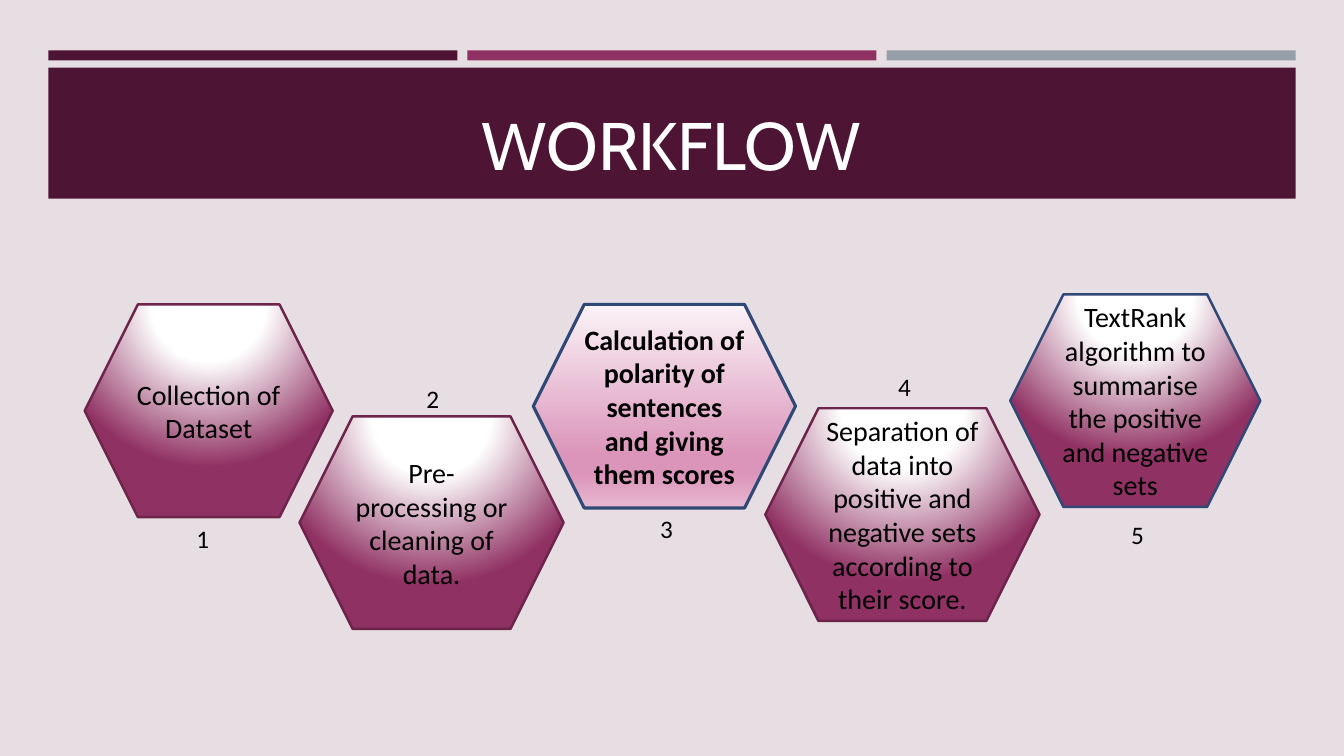
from lxml.etree import SubElement
from pptx import Presentation
from pptx.dml.color import RGBColor
from pptx.enum.shapes import MSO_SHAPE
from pptx.enum.text import MSO_ANCHOR, MSO_AUTO_SIZE, PP_ALIGN
from pptx.oxml.ns import qn
from pptx.util import Inches, Pt

PLUM, MAGENTA, GREY = "4D1434", "903163", "969FA7"
BACKGROUND, WHITE, BLACK = "E6DEE3", "FFFFFF", "000000"
DARK_MAGENTA, NAVY = "6C244A", "2F4875"
SPOTLIGHT = [(0, WHITE), (35, WHITE), (100, MAGENTA)]
PINK_FADE = [(0, "FBF3F7"), (74, "DB95BA"), (83, "DB95BA"), (100, "E7B8D1")]

STEPS = [
    ("Collection of Dataset", (0.84, 3.02, 2.46, 2.11), (1.85, 5.14), DARK_MAGENTA, False),
    ("Pre-processing or cleaning of data.", (2.97, 4.13, 2.62, 2.11), (4.13, 3.75), DARK_MAGENTA, False),
    ("Calculation of polarity of sentences and giving them scores",
     (5.29, 3.02, 2.6, 2.02), (6.45, 5.04), NAVY, True),
    ("Separation of data into positive and negative sets according to their score.",
     (7.59, 4.05, 2.72, 2.11), (8.81, 3.63), DARK_MAGENTA, False),
    ("TextRank algorithm to summarise the positive and negative sets",
     (10.02, 2.92, 2.48, 2.11), (11.12, 5.1), NAVY, False),
]


def color(value):
    return RGBColor.from_string(value)


def inches(box):
    return [Inches(length) for length in box]


def write(frame, text, size, font_name, text_color, alignment, bold=False):
    frame.word_wrap = True
    paragraph = frame.paragraphs[0]
    paragraph.alignment = alignment
    run = paragraph.add_run()
    run.text = text
    run.font.size = Pt(size)
    run.font.name = font_name
    run.font.bold = bold
    run.font.color.rgb = color(text_color)


def add_bar(slide, box, fill_color):
    bar = slide.shapes.add_shape(MSO_SHAPE.RECTANGLE, *inches(box))
    bar.shadow.inherit = False
    bar.fill.solid()
    bar.fill.fore_color.rgb = color(fill_color)
    bar.line.fill.background()


def add_header(slide, box):
    left, top, width, height = box
    gap, bar_height, band_offset = 0.1, 0.1, 0.17
    bar_width = (width - 2 * gap) / 3
    for index, fill_color in enumerate([PLUM, MAGENTA, GREY]):
        add_bar(slide, (left + index * (bar_width + gap), top, bar_width, bar_height), fill_color)
    add_bar(slide, (left, top + band_offset, width, height - band_offset), PLUM)

    title = slide.shapes.title
    slide.shapes._spTree.append(title._element)
    title.left, title.top, title.width, title.height = inches(
        (left + 0.15, top + 0.27, width - 0.31, 1.11))
    title.text_frame.auto_size = MSO_AUTO_SIZE.NONE
    title.text_frame.vertical_anchor = MSO_ANCHOR.BOTTOM
    write(title.text_frame, "WORKFLOW", 48, "Cabin", WHITE, PP_ALIGN.CENTER)


def fill_gradient(shape, stops, linear):
    shape.fill.gradient()
    gradient = shape._element.spPr.find(qn("a:gradFill"))
    for child in list(gradient):
        gradient.remove(child)
    stop_list = SubElement(gradient, qn("a:gsLst"))
    for position, stop_color in stops:
        stop = SubElement(stop_list, qn("a:gs"), pos=str(position * 1000))
        SubElement(stop, qn("a:srgbClr"), val=stop_color)
    if linear:
        SubElement(gradient, qn("a:lin"), ang="5400000", scaled="0")
    else:
        circle = SubElement(gradient, qn("a:path"), path="circle")
        SubElement(circle, qn("a:fillToRect"), l="50000", t="-80000", r="50000", b="180000")


def add_step(slide, number, text, box, label_position, line_color, highlighted):
    hexagon = slide.shapes.add_shape(MSO_SHAPE.HEXAGON, *inches(box))
    hexagon.shadow.inherit = False
    hexagon.adjustments[0] = 0.25
    fill_gradient(hexagon, PINK_FADE if highlighted else SPOTLIGHT, highlighted)
    hexagon.line.color.rgb = color(line_color)
    hexagon.line.width = Pt(2.25 if highlighted else 1.75)
    hexagon.text_frame.vertical_anchor = MSO_ANCHOR.MIDDLE
    write(hexagon.text_frame, text, 20, "Calibri", BLACK, PP_ALIGN.CENTER, highlighted)

    label = slide.shapes.add_textbox(*inches((*label_position, 0.73, 0.4)))
    write(label.text_frame, str(number), 18, "Calibri", BLACK, PP_ALIGN.LEFT)
    label.text_frame.auto_size = MSO_AUTO_SIZE.SHAPE_TO_FIT_TEXT


def main():
    presentation = Presentation()
    presentation.slide_width = Inches(13.33)
    presentation.slide_height = Inches(7.5)
    slide = presentation.slides.add_slide(presentation.slide_layouts[5])
    slide.background.fill.solid()
    slide.background.fill.fore_color.rgb = color(BACKGROUND)
    add_header(slide, (0.48, 0.5, 12.37, 1.47))
    for number, step in enumerate(STEPS, start=1):
        add_step(slide, number, *step)
    presentation.save("out.pptx")


if __name__ == "__main__":
    main()
